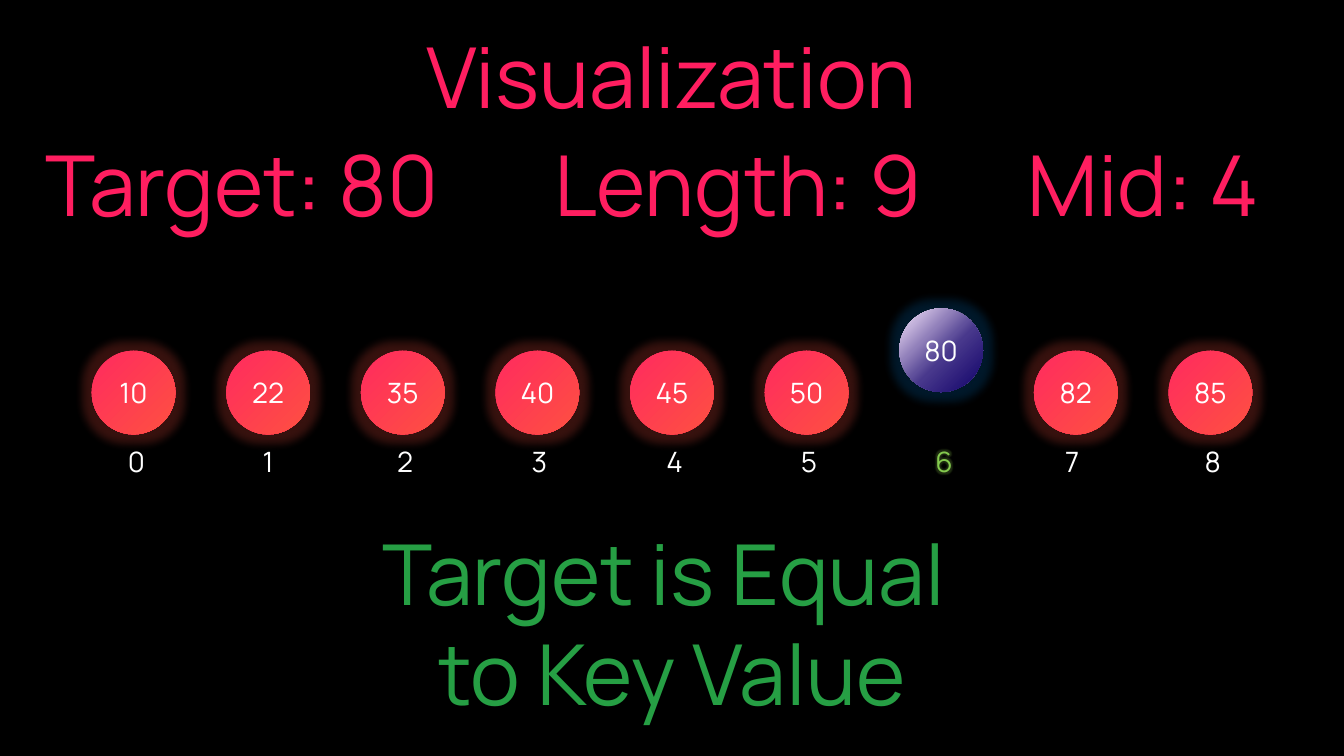
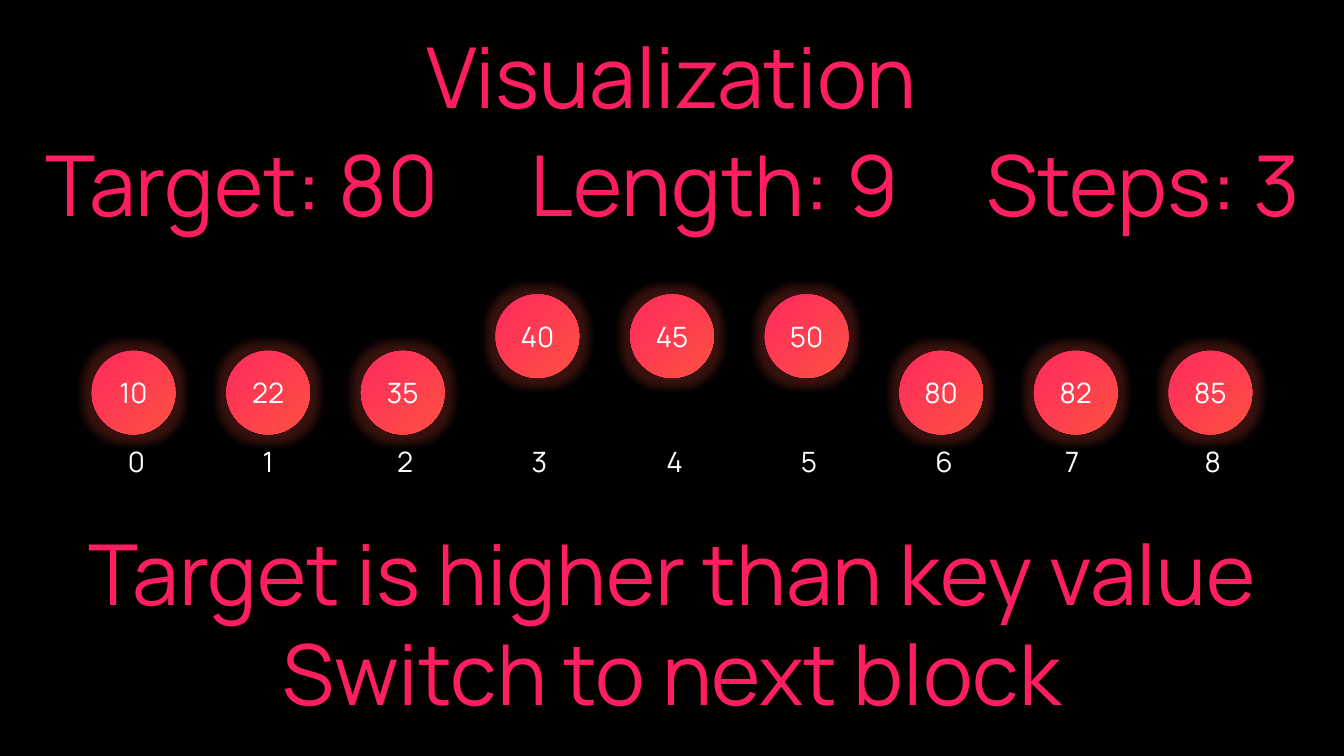
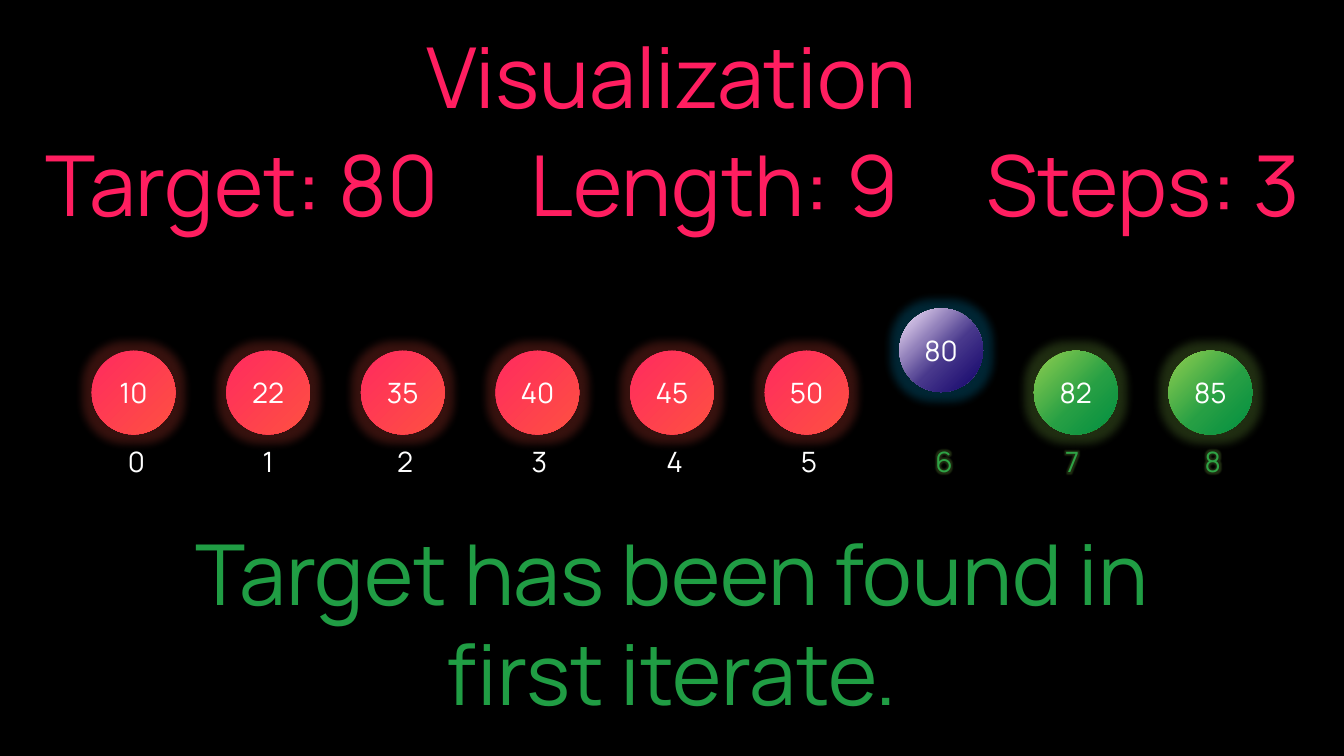
from dataclasses import dataclass

from lxml import etree
from pptx import Presentation
from pptx.dml.color import RGBColor
from pptx.enum import shapes, text
from pptx.oxml import ns
from pptx.util import Inches, Pt


@dataclass(frozen=True)
class Gradient:
    stops: tuple
    radial: bool = False


@dataclass(frozen=True)
class BallStyle:
    fill: Gradient
    glow: str


class Theme:
    font = "Manrope"
    display_size = Pt(60)
    value_size = Pt(20)
    background = RGBColor.from_string("000000")
    white = RGBColor.from_string("FFFFFF")
    glow_alpha = 22
    ball_glow = Inches(0.18)
    text_glow = Inches(0.1)
    glow_green = "92D050"
    display_red = Gradient(((0, "FF1E60"), (100, "FE5140")), radial=True)
    display_green = Gradient(((0, "92D050"), (56, "269F44"), (100, "008E40")), radial=True)
    found_green = Gradient(((0, "92D050"), (58, "209D44"), (100, "008E40")), radial=True)
    index_lime = Gradient(((0, "92D050"), (8, "84CA4E"), (60, "2EA345"), (100, "008E40")))
    index_green = Gradient(((0, "92D050"), (60, "2EA345"), (100, "008E40")))
    red_ball = BallStyle(Gradient(((0, "FF2A5F"), (100, "FE5141"))), "FE5141")
    green_ball = BallStyle(
        Gradient(((0, "92D050"), (57, "269F44"), (100, "008E40"))), glow_green)
    violet = Gradient(((0, "FCEAFF"), (56, "48388C"), (100, "0F0068")))
    key_ball = BallStyle(violet, "0070C0")
    found_ball = BallStyle(violet, "00B0F0")


SLIDE_WIDTH = 13.33
VALUES = (10, 22, 35, 40, 45, 50, 80, 82, 85)
BALL_LEFT, BALL_TOP, BALL_SIZE = 0.91, 3.48, 0.83
BALL_PITCH = 1.335
INDEX_LEFT, INDEX_TOP = 1.17, 4.36
INDEX_NUDGE = {7: -0.05}
TARGET = ("Target: 80", 0.14, 4.52)
STEP_FACTS = (TARGET, ("Length: 9", 5.06, 4.06), ("Steps: 3", 9.58, 3.51))


def add_element(parent, tag, **attributes):
    element = etree.SubElement(parent, ns.qn(tag))
    for name, value in attributes.items():
        element.set(name, str(value))
    return element


def gradient_element(gradient):
    fill = etree.Element(ns.qn("a:gradFill"), rotWithShape="1")
    stop_list = add_element(fill, "a:gsLst")
    for position, color in gradient.stops:
        stop = add_element(stop_list, "a:gs", pos=position * 1000)
        add_element(stop, "a:srgbClr", val=color)
    if gradient.radial:
        radial = add_element(fill, "a:path", path="circle")
        add_element(radial, "a:fillToRect", t=100000, r=100000)
    else:
        add_element(fill, "a:lin", ang=45 * 60000, scaled=0)
    return fill


def glow_element(color, radius):
    effects = etree.Element(ns.qn("a:effectLst"))
    glow = add_element(effects, "a:glow", rad=int(radius))
    glow_color = add_element(glow, "a:srgbClr", val=color)
    add_element(glow_color, "a:alpha", val=Theme.glow_alpha * 1000)
    return effects


def write(shape, content, size, gradient=None, glow=None):
    """Fill a shape with centred text, in white unless a gradient is given."""
    paragraph = shape.text_frame.paragraphs[0]
    paragraph.alignment = text.PP_ALIGN.CENTER
    for number, line in enumerate(content.split("\n")):
        if number:
            paragraph.add_line_break()
        run = paragraph.add_run()
        run.text = line
        run.font.size = size
        run.font.name = Theme.font
        if gradient is None:
            run.font.color.rgb = Theme.white
            continue
        properties = run._r.get_or_add_rPr()
        properties.insert(0, gradient_element(gradient))
        if glow:
            properties.insert(1, glow_element(glow, Theme.text_glow))


def write_display(shape, content, gradient=Theme.display_red):
    frame = shape.text_frame
    frame.word_wrap = False
    frame.auto_size = text.MSO_AUTO_SIZE.SHAPE_TO_FIT_TEXT
    frame.vertical_anchor = text.MSO_ANCHOR.TOP
    write(shape, content, Theme.display_size, gradient)


def add_text_box(slide, left, top, width, height):
    return slide.shapes.add_textbox(
        Inches(left), Inches(top), Inches(width), Inches(height))


def add_title(slide, content):
    title = slide.shapes.title
    title.left, title.top = Inches(3.81), Inches(0.19)
    title.width, title.height = Inches(5.71), Inches(1.11)
    write_display(title, content)


def add_ball(slide, position, value, style, lift):
    ball = slide.shapes.add_shape(
        shapes.MSO_SHAPE.OVAL,
        Inches(BALL_LEFT + position * BALL_PITCH), Inches(BALL_TOP - lift),
        Inches(BALL_SIZE), Inches(BALL_SIZE))
    properties = ball._element.spPr
    properties.append(gradient_element(style.fill))
    ball.line.fill.background()
    properties.append(glow_element(style.glow, Theme.ball_glow))
    ball.text_frame.vertical_anchor = text.MSO_ANCHOR.MIDDLE
    write(ball, str(value), Theme.value_size)


def add_index(slide, position, gradient):
    left = INDEX_LEFT + position * BALL_PITCH + INDEX_NUDGE.get(position, 0)
    label = add_text_box(slide, left, INDEX_TOP, 0.31, 0.44)
    label.text_frame.word_wrap = True
    write(label, str(position), Theme.value_size, gradient, Theme.glow_green)


def add_step(presentation, facts, message, message_width, message_color,
             balls=None, lifts=None, indexes=None):
    """Add one search step; the last three map positions to their exceptions."""
    balls, lifts, indexes = balls or {}, lifts or {}, indexes or {}
    slide = presentation.slides.add_slide(presentation.slide_layouts[5])
    add_title(slide, "Visualization")
    for position, value in enumerate(VALUES):
        add_ball(slide, position, value, balls.get(position, Theme.red_ball),
                 lifts.get(position, 0))
        add_index(slide, position, indexes.get(position))
    for content, left, width in facts:
        write_display(add_text_box(slide, left, 1.27, width, 1.11), content)
    message_box = add_text_box(
        slide, (SLIDE_WIDTH - message_width) / 2, 5.12, message_width, 2.12)
    write_display(message_box, message, message_color)


def main():
    presentation = Presentation()
    presentation.slide_width = Inches(SLIDE_WIDTH)
    presentation.slide_height = Inches(7.5)
    background = presentation.slide_master.background.fill
    background.solid()
    background.fore_color.rgb = Theme.background

    add_step(
        presentation,
        (TARGET, ("Length: 9", 5.29, 4.06), ("Mid: 4", 9.97, 2.74)),
        "Target is Equal \nto Key Value", 6.68, Theme.display_green,
        balls={6: Theme.key_ball}, lifts={6: 0.42},
        indexes={6: Theme.index_lime})
    add_step(
        presentation, STEP_FACTS,
        "Target is higher than key value\nSwitch to next block", 13.39,
        Theme.display_red, lifts=dict.fromkeys((3, 4, 5), 0.56))
    add_step(
        presentation, STEP_FACTS,
        "Target has been found in\nfirst iterate.", 10.86, Theme.found_green,
        balls={6: Theme.found_ball, 7: Theme.green_ball, 8: Theme.green_ball},
        lifts={6: 0.42},
        indexes=dict.fromkeys((6, 7, 8), Theme.index_green))
    presentation.save("out.pptx")


if __name__ == "__main__":
    main()
